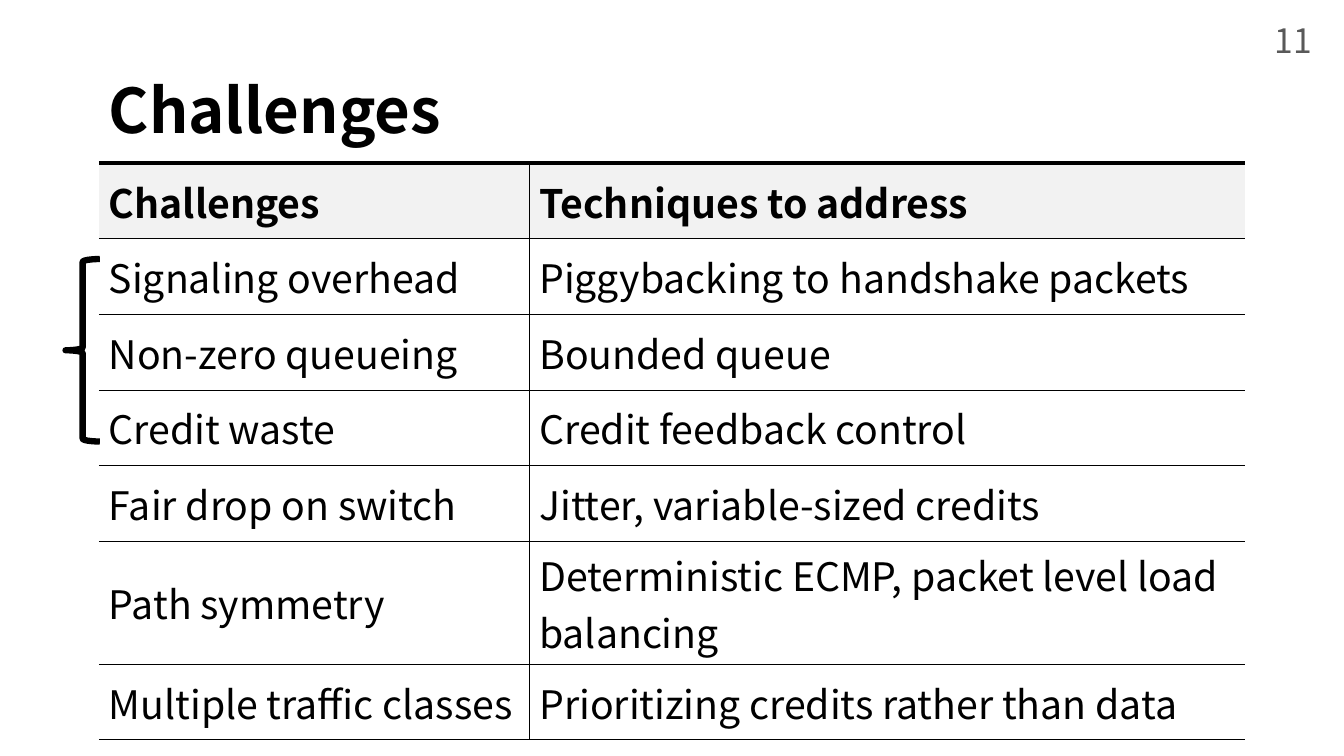
from lxml.etree import SubElement
from pptx import Presentation
from pptx.dml.color import RGBColor
from pptx.enum.shapes import MSO_SHAPE
from pptx.enum.text import MSO_ANCHOR, PP_ALIGN
from pptx.oxml.ns import qn
from pptx.util import Inches, Pt

BLACK = RGBColor(0x00, 0x00, 0x00)
GRAY = RGBColor(0x59, 0x59, 0x59)
HEADER_FILL = RGBColor(0xF2, 0xF2, 0xF2)
FONT = "Noto Sans CJK KR"

COLUMN_WIDTHS = (4.27, 7.1)
ROW_HEIGHT = 0.75
TWO_LINE_HEIGHT = 1.22
ROWS = (
    ("Challenges", "Techniques to address", ROW_HEIGHT),
    ("Signaling overhead", "Piggybacking to handshake packets", ROW_HEIGHT),
    ("Non-zero queueing", "Bounded queue", ROW_HEIGHT),
    ("Credit waste", "Credit feedback control", ROW_HEIGHT),
    ("Fair drop on switch", "Jitter, variable-sized credits", ROW_HEIGHT),
    ("Path symmetry", "Deterministic ECMP, packet level load balancing", TWO_LINE_HEIGHT),
    ("Multiple traffic classes", "Prioritizing credits rather than data", ROW_HEIGHT),
)


def style_text(frame, size, color=BLACK, bold=False):
    font = frame.paragraphs[0].runs[0].font
    font.name, font.size, font.bold = FONT, Pt(size), bold
    font.color.rgb = color


def add_text(page, box, text, size, color=BLACK, bold=False):
    frame = page.shapes.add_textbox(*map(Inches, box)).text_frame
    frame.word_wrap = True
    frame.text = text
    style_text(frame, size, color, bold)
    return frame


def set_borders(cell, widths):
    """Draw left, right, top and bottom borders; a width of 0 hides one."""
    properties = cell._tc.get_or_add_tcPr()
    for side, width in zip("LRTB", widths):
        line = SubElement(properties, qn(f"a:ln{side}"), w=str(Pt(width)))
        if width:
            fill = SubElement(line, qn("a:solidFill"))
            SubElement(fill, qn("a:srgbClr"), val=str(BLACK))
        else:
            SubElement(line, qn("a:noFill"))


def add_title(page, box):
    frame = add_text(page, box, "Challenges", 44, bold=True)
    frame.vertical_anchor = MSO_ANCHOR.MIDDLE
    frame.paragraphs[0].line_spacing = 0.9


def add_page_number(page, box):
    frame = add_text(page, box, "11", 24, GRAY)
    frame.paragraphs[0].alignment = PP_ALIGN.CENTER


def add_challenge_table(page, left, top):
    size = sum(COLUMN_WIDTHS), sum(height for *_, height in ROWS)
    table = page.shapes.add_table(
        len(ROWS), len(COLUMN_WIDTHS), *map(Inches, (left, top, *size))
    ).table
    table.horz_banding = False
    for column, width in zip(table.columns, COLUMN_WIDTHS):
        column.width = Inches(width)
    for r, (*texts, height) in enumerate(ROWS):
        header = r == 0
        table.rows[r].height = Inches(height)
        for c, text in enumerate(texts):
            cell = table.cell(r, c)
            cell.text = text
            cell.vertical_anchor = MSO_ANCHOR.MIDDLE
            style_text(cell.text_frame, 28, bold=header)
            set_borders(cell, (c, 1 - c, 3 if header else 1, 1))
            if header:
                cell.fill.solid()
                cell.fill.fore_color.rgb = HEADER_FILL
            else:
                cell.fill.background()


def add_brace(page, box):
    brace = page.shapes.add_shape(MSO_SHAPE.LEFT_BRACE, *map(Inches, box))
    brace.shadow.inherit = False
    brace.fill.background()
    brace.line.color.rgb = BLACK
    brace.line.width = Pt(4.5)


def main():
    deck = Presentation()
    deck.slide_width, deck.slide_height = Inches(13.33), Inches(7.5)
    page = deck.slides.add_slide(deck.slide_layouts[6])
    add_title(page, (0.98, 0.4, 11.97, 1.45))
    add_challenge_table(page, 0.98, 1.62)
    add_page_number(page, (12.42, 0.15, 0.82, 0.5))
    add_brace(page, (0.65, 2.57, 0.34, 1.81))
    deck.save("out.pptx")


if __name__ == "__main__":
    main()
